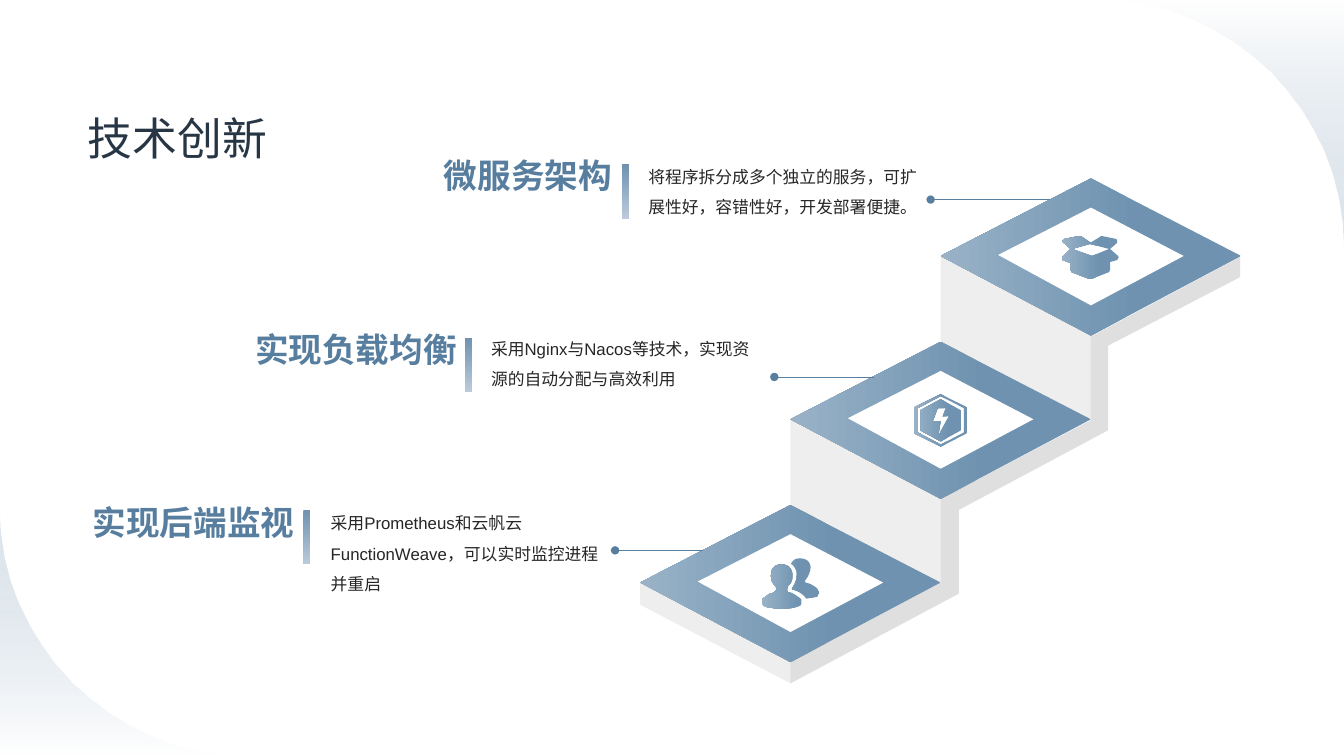
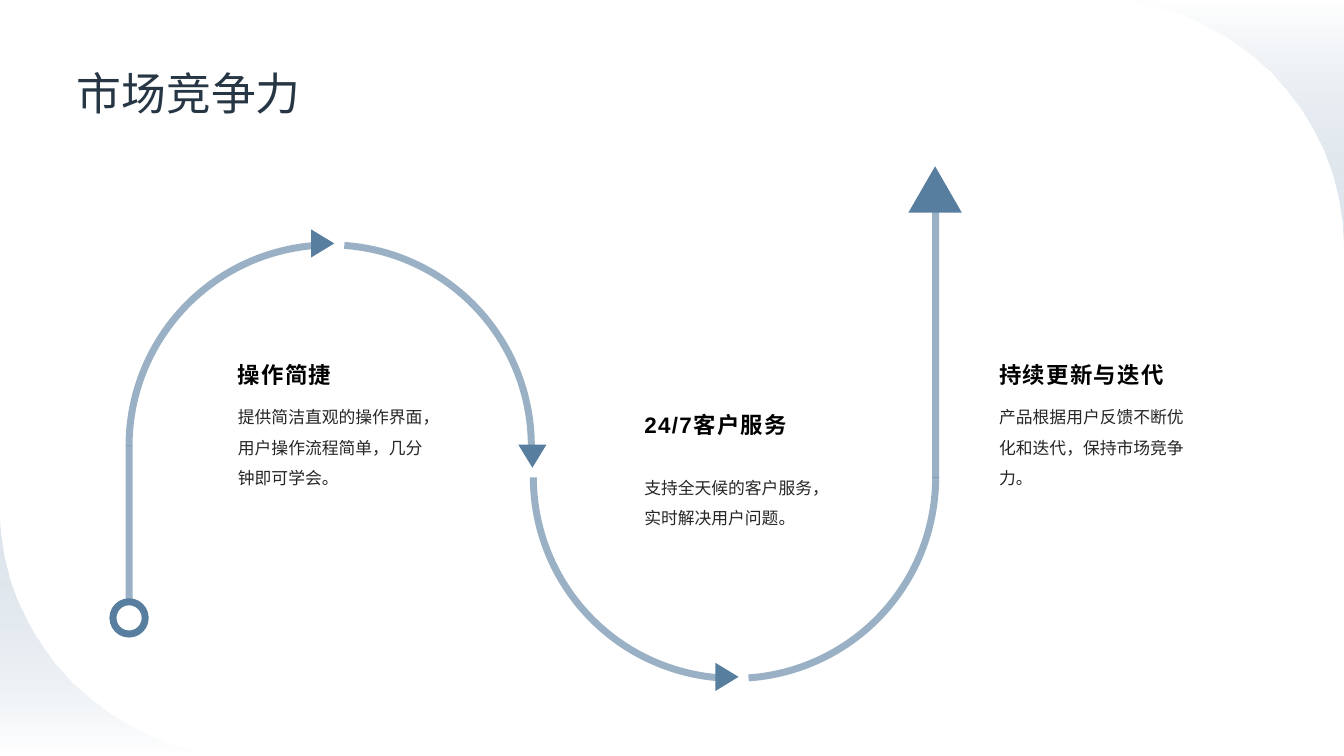
from lxml.etree import SubElement
from pptx import Presentation
from pptx.dml.color import RGBColor
from pptx.enum.shapes import MSO_CONNECTOR, MSO_SHAPE
from pptx.enum.text import MSO_ANCHOR, PP_ALIGN
from pptx.oxml.ns import qn
from pptx.util import Pt

PX = 9144  # 100 px to the inch

COLORS = {
    "title": "273644", "accent": "577E9F", "body": "262626", "heading": "000000",
    "white": "FFFFFF", "riser": "BFBFBF", "side": "A6A6A6",
    "steel": "6E92B0", "mist": "99B2C7", "pale": "BBCBDA", "haze": "DDE5EC",
}
# Gradients: stops and counter-clockwise angle
GRADIENTS = {
    "tile": ((0.35, "steel"), (1, "mist"), 180),
    "bar": ((0, "steel"), (1, "pale"), 270),
    "corner up": ((0, "haze"), (1, "pale"), 90),
    "corner down": ((0, "haze"), (1, "pale"), 270),
}
FORMATS = {
    "title": {
        "color": "title", "font": {"name": "Lato", "size": Pt(32)},
        "paragraph": {}, "frame": {"vertical_anchor": MSO_ANCHOR.BOTTOM}},
    "label": {
        "color": "accent", "font": {"name": "Lato", "size": Pt(24), "bold": True},
        "paragraph": {"alignment": PP_ALIGN.RIGHT}, "frame": {}},
    "step": {
        "color": "body", "font": {"name": "Arial", "size": Pt(12)},
        "paragraph": {"line_spacing": 1.5}, "frame": {}},
    "detail": {
        "color": "body", "font": {"name": "Lato", "size": Pt(12)},
        "paragraph": {"line_spacing": 1.5}, "frame": {}},
    "heading": {
        "color": "heading", "spacing": "100",
        "font": {"name": "Arial", "size": Pt(16), "bold": True},
        "paragraph": {}, "frame": {"vertical_anchor": MSO_ANCHOR.MIDDLE}},
}
MARGINS = dict.fromkeys(
    ("margin_left", "margin_top", "margin_right", "margin_bottom"), 0)


def paint(shape, fill, opacity=100):
    """Fill a shape with a colour or gradient; opacity acts on the last colour."""
    shape.shadow.inherit = False
    shape.line.fill.background()
    if fill in GRADIENTS:
        *stops, angle = GRADIENTS[fill]
        shape.fill.gradient()
        shape.fill.gradient_angle = angle
        for stop, (position, color) in zip(shape.fill.gradient_stops, stops):
            stop.position = position
            stop.color.rgb = RGBColor.from_string(COLORS[color])
    else:
        shape.fill.solid()
        shape.fill.fore_color.rgb = RGBColor.from_string(COLORS[fill])
    if opacity < 100:
        last_color = list(shape._element.spPr.iter(qn("a:srgbClr")))[-1]
        SubElement(last_color, qn("a:alpha")).set("val", str(opacity * 1000))


def write(slide, box, text, style):
    """Add a text box in one of the shared formats."""
    look = FORMATS[style]
    frame = slide.shapes.add_textbox(*(PX * v for v in box)).text_frame
    paragraph = frame.paragraphs[0]
    run = paragraph.add_run()
    run.text = text
    run.font.color.rgb = RGBColor.from_string(COLORS[look["color"]])
    if "spacing" in look:
        run._r.get_or_add_rPr().set("spc", look["spacing"])
    for target, values in (
        (frame, {"word_wrap": True, **MARGINS, **look["frame"]}),
        (paragraph, look["paragraph"]),
        (run.font, look["font"]),
    ):
        for name, value in values.items():
            setattr(target, name, value)


deck = Presentation()
deck.slide_width, deck.slide_height = 1333 * PX, 750 * PX
blank = deck.slide_layouts[6]
for placeholder in list(blank.placeholders):
    placeholder._element.getparent().remove(placeholder._element)
innovation = deck.slides.add_slide(blank)
market = deck.slides.add_slide(blank)
strokes = []  # shape, width in points, opacity

# Outlines: contours, fill, opacity; six numbers make a Bezier segment
outlines = [
    ([[(0, 503), (0, 750), (247, 750), (111, 750, 0, 639, 0, 503)]], "corner down", 0),
    ([[(1333, 247), (1333, 0), (1086, 0), (1223, 0, 1333, 111, 1333, 247)]],
     "corner up", 0),
]

# Stair tiles with their white insets, then the risers and sides
tops = [(784 + 149 * i, 579 - 162 * i) for i in range(3)]
for x, y in tops:
    outlines += [
        ([[(x, y + 78), (x - 149, y - 1), (x, y - 78), (x + 149, y - 1)]], "tile", 100),
        ([[(x, y + 48), (x - 92, y - 2), (x, y - 49), (x + 92, y - 1)]], "white", 100),
    ]
for x, y in tops[1:]:
    outlines.append(([[(x - 149, y - 1), (x - 149, y + 84), (x, y + 161), (x, y + 78)]],
                     "riser", 25))
stair_side = [
    (1082, 334), (1082, 417), (933, 495), (933, 578), (784, 657), (784, 678),
    (951, 589), (951, 506), (1099, 427), (1099, 343), (1230, 275), (1230, 255)]
stair_front = [(784, 657), (635, 578), (635, 600), (784, 678)]
outlines += [([stair_side], "side", 35), ([stair_front], "riser", 25)]

# Icons: open box, bolt in a hexagon, two users
open_box = [
    (1062, 261), (1062, 268), (1063, 270), (1081, 277), (1082, 277), (1100, 270),
    (1101, 268), (1101, 260), (1108, 258), (1110, 255), (1109, 254), (1101, 247),
    (1108, 241), (1108, 238), (1107, 237), (1092, 234), (1091, 235), (1082, 241),
    (1073, 235), (1071, 234), (1056, 237), (1054, 239), (1054, 240), (1062, 247),
    (1063, 247), (1081, 242), (1100, 247), (1083, 254), (1063, 247), (1062, 247),
    (1054, 255), (1053, 256), (1054, 258)]
hexagons = [
    [(933, 417 - h), (933 + w, 417 - h // 2), (933 + w, 417 + h // 2),
     (933, 417 + h), (933 - w, 417 + h // 2), (933 - w, 417 - h // 2)]
    for w, h in ((26, 26), (23, 24), (20, 21))]
bolt = [(930, 405), (925, 418), (933, 418), (931, 430), (932, 430),
        (941, 413), (935, 413), (938, 405)]
back_user = [
    (799, 593), (796, 589, 792, 587, 787, 585), (786, 585, 785, 584, 786, 583),
    (788, 580, 790, 576, 790, 572), (791, 567, 789, 563, 786, 560),
    (785, 560, 785, 559, 785, 559), (787, 556, 789, 554, 793, 554),
    (800, 554, 803, 557, 804, 562), (804, 567, 802, 571, 800, 574),
    (799, 575, 798, 577, 799, 578), (800, 578, 802, 579, 803, 579),
    (809, 582, 811, 584, 812, 586), (813, 587, 812, 589, 812, 591),
    (810, 593, 804, 593, 800, 594)]
front_user = [
    (756, 598), (756, 595), (757, 593, 760, 592, 762, 590),
    (763, 589, 765, 589, 767, 588), (770, 586, 771, 584, 770, 583),
    (769, 581), (766, 579, 764, 574, 765, 569), (765, 564, 769, 560, 775, 560),
    (782, 560, 785, 564, 786, 569), (786, 572, 786, 575, 785, 577),
    (784, 579, 783, 580, 782, 581), (780, 584, 781, 586, 781, 587),
    (782, 588, 783, 588, 784, 588), (787, 589, 790, 591, 793, 593),
    (794, 594, 795, 594, 795, 596), (795, 599), (794, 602, 790, 602, 787, 603),
    (781, 604, 772, 604, 765, 603), (762, 603, 759, 602, 757, 600)]
outlines += [(icon, "tile", 100) for icon in (
    [open_box], [*hexagons, bolt], [back_user, front_user])]

for contours, fill, opacity in outlines:
    builder = None
    for start, *segments in contours:
        points = [start]
        for segment in segments:
            if len(segment) == 2:
                points.append(segment)
                continue
            knots = [points[-1], segment[:2], segment[2:4], segment[4:]]
            for t in (n / 16 for n in range(1, 17)):
                weights = ((1 - t) ** 3, 3 * t * (1 - t) ** 2, 3 * t * t * (1 - t), t ** 3)
                points.append(tuple(
                    sum(w * knot[axis] for w, knot in zip(weights, knots))
                    for axis in (0, 1)))
        emu = [(round(x * PX), round(y * PX)) for x, y in points]
        if builder is None:
            builder = innovation.shapes.build_freeform(*emu[0], scale=1.0)
        else:
            builder.move_to(*emu[0])
        builder.add_line_segments(emu[1:], close=True)
    outline = builder.convert_to_shape()
    paint(outline, fill, opacity)
    if fill.startswith("corner"):  # shared by both slides
        blank.shapes._spTree.append(outline._element)

# Slide 1: labels, bars, texts and leader lines
write(innovation, (87, 100, 374, 63), "技术创新", "title")
steps = [
    ("微服务架构", 607, 154, (617, 163), (643, 155),
     "将程序拆分成多个独立的服务，可扩展性好，容错性好，开发部署便捷。", (923, 1041, 198)),
    ("实现负载均衡", 453, 326, (461, 335), (487, 326),
     "采用Nginx与Nacos等技术，实现资源的自动分配与高效利用", (768, 867, 374)),
    ("实现后端监视", 292, 498, (301, 506), (328, 499),
     "采用Prometheus和云帆云FunctionWeave，可以实时监控进程并重启", (610, 697, 546)),
]
for label, label_right, label_top, bar_at, text_at, text, (x1, x2, y) in steps:
    write(innovation, (label_right - 220, label_top, 220, 63), label, "label")
    write(innovation, (*text_at, 272, 157), text, "step")
    bar = innovation.shapes.add_shape(
        MSO_SHAPE.RECTANGLE, *(PX * v for v in (*bar_at, 7, 54)))
    paint(bar, "bar")
    leader = innovation.shapes.add_connector(
        MSO_CONNECTOR.STRAIGHT, x1 * PX, y * PX, x2 * PX, y * PX)
    SubElement(leader.line._get_or_add_ln(), qn("a:headEnd")).set("type", "oval")
    strokes.append((leader, 0.5, 100))

# Slide 2: title and advantages
write(market, (76, 39, 1181, 79), "市场竞争力", "title")
advantages = [
    (236, 351, 394, "操作简捷", "提供简洁直观的操作界面，用户操作流程简单，几分钟即可学会。"),
    (639, 400, 464, "24/7客户服务", "支持全天候的客户服务，实时解决用户问题。"),
    (991, 351, 394, "持续更新与迭代", "产品根据用户反馈不断优化和迭代，保持市场竞争力。"),
]
for x, heading_top, detail_top, heading, detail in advantages:
    write(market, (x, detail_top, 196, 94), detail, "detail")
    write(market, (x, heading_top, 196, 42), heading, "heading")

# Winding track: start ring, quarter arcs, straight ends
ring = market.shapes.add_shape(
    MSO_SHAPE.OVAL, *(PX * v for v in (112, 597, 32, 32)))
ring.fill.background()
strokes.append((ring, 5, 100))
for x, y, start, flips in (
    (128, 243, 164.42, ()),
    (128, 243, 163.59, ("flipH",)),
    (529, 274, 165.09, ("flipH", "flipV")),
    (529, 274, 164.4, ("flipV",)),
):
    bend = market.shapes.add_shape(MSO_SHAPE.ARC, *(PX * v for v in (x, y, 399, 399)))
    bend.adjustments[0], bend.adjustments[1] = start, 0
    bend.fill.background()
    for flip in flips:
        bend._element.spPr.find(qn("a:xfrm")).set(flip, "1")
    strokes.append((bend, 5, 60))
for x, y1, y2 in ((128, 442, 600), (928, 474, 200)):
    straight = market.shapes.add_connector(
        MSO_CONNECTOR.STRAIGHT, x * PX, y1 * PX, x * PX, y2 * PX)
    strokes.append((straight, 5, 60))

# Line styles
for stroke, width, opacity in strokes:
    stroke.line.color.rgb = RGBColor.from_string(COLORS["accent"])
    stroke.line.width = Pt(width)
    properties = stroke._element.spPr
    if opacity < 100:
        line_color = next(properties.iter(qn("a:srgbClr")))
        SubElement(line_color, qn("a:alpha")).set("val", str(opacity * 1000))
    SubElement(properties, qn("a:effectLst"))

# Arrow tips along the track
for *box, rotation in (
    (306, 230, 28, 23, 90), (514, 441, 28, 23, 180),
    (707, 660, 28, 23, 90), (901, 165, 53, 46, 0),
):
    tip = market.shapes.add_shape(
        MSO_SHAPE.ISOSCELES_TRIANGLE, *(PX * v for v in box))
    tip.rotation = rotation
    paint(tip, "accent")

deck.save("out.pptx")
